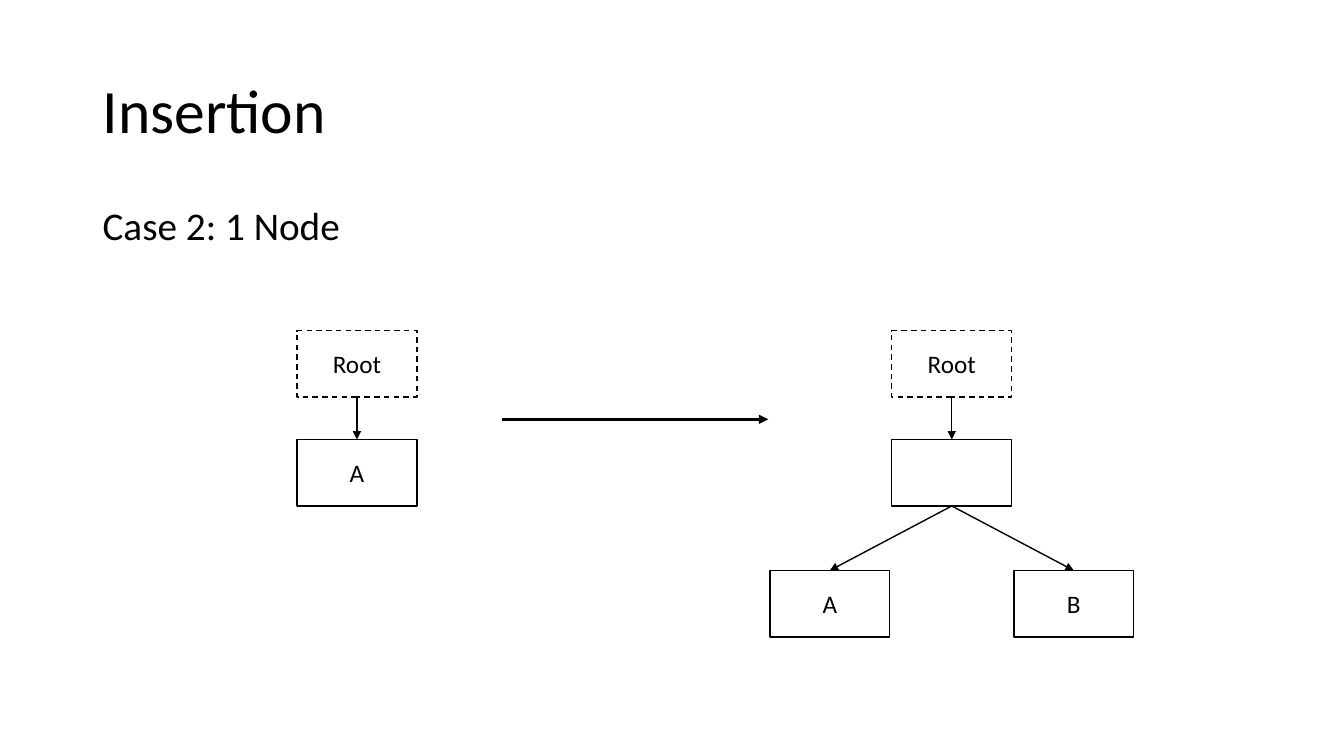
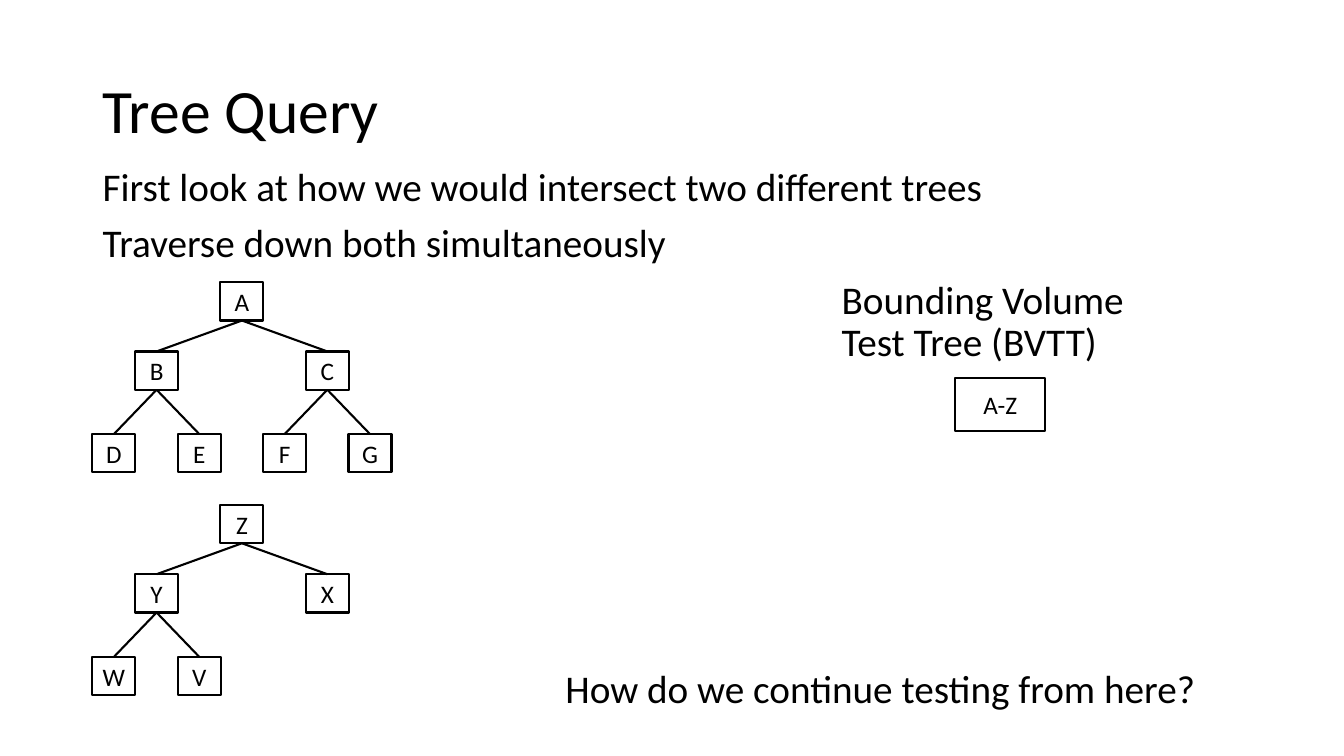
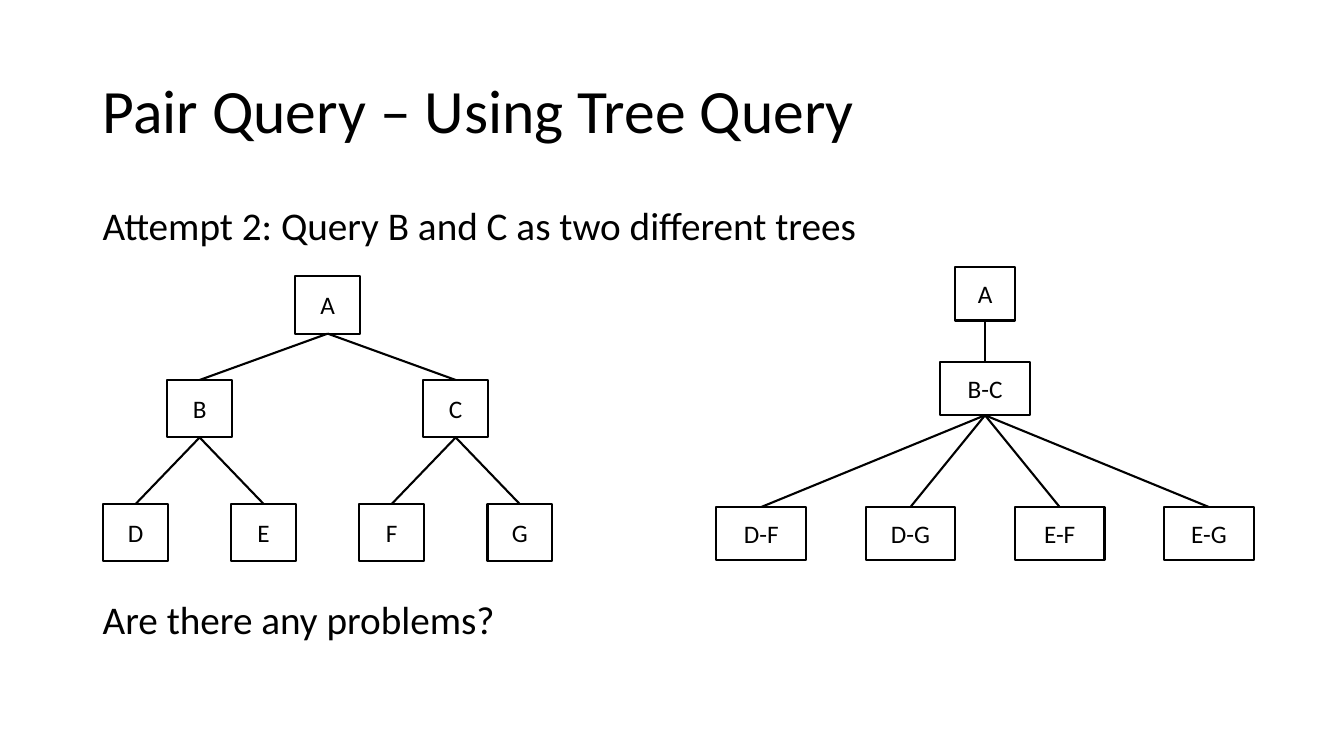
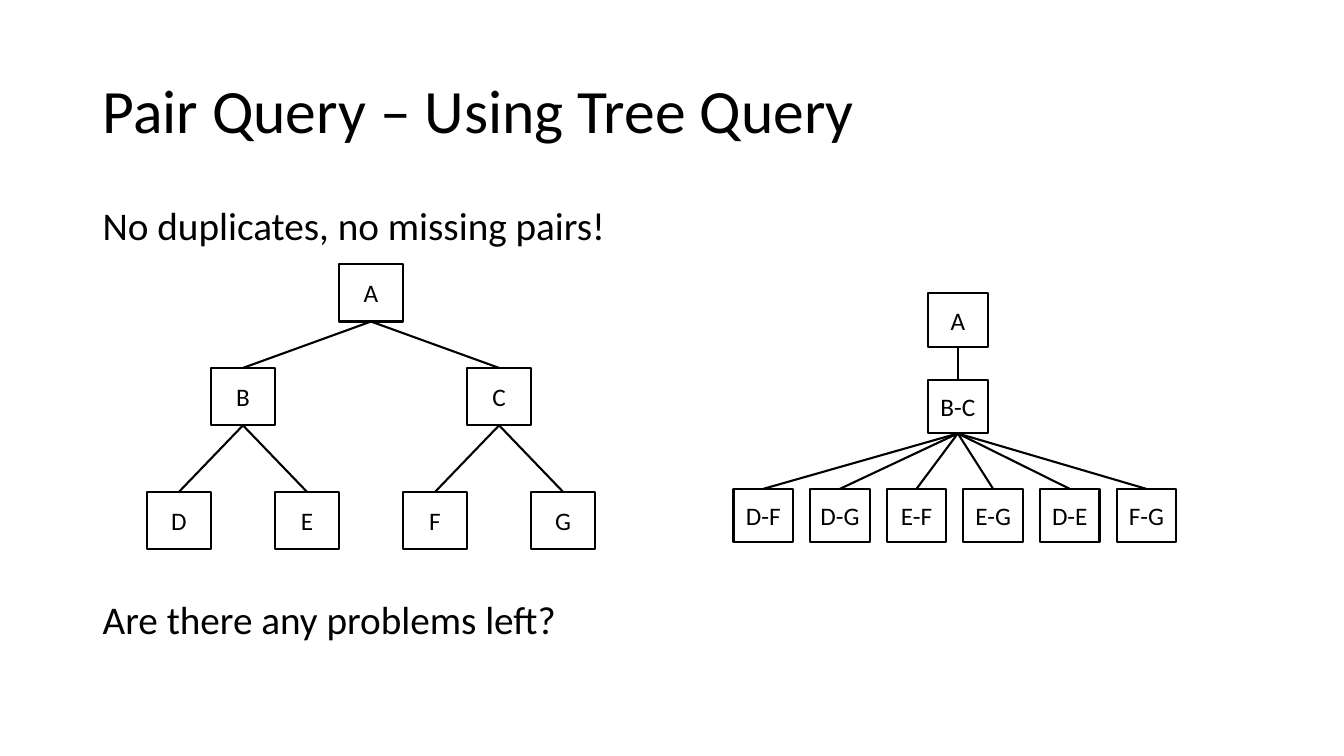
from dataclasses import dataclass

from lxml.etree import SubElement
from pptx import Presentation
from pptx.dml.color import RGBColor
from pptx.enum.dml import MSO_LINE
from pptx.enum.shapes import MSO_CONNECTOR, MSO_SHAPE
from pptx.enum.text import MSO_ANCHOR, PP_ALIGN
from pptx.oxml.ns import qn
from pptx.util import Inches, Pt


@dataclass(frozen=True)
class Theme:
    font = "Calibri"
    ink = RGBColor(0, 0, 0)
    paper = RGBColor(255, 255, 255)
    title = {"size": 44, "anchor": MSO_ANCHOR.MIDDLE,
             "paragraph": {"line_spacing": 0.9}}
    body = {"size": 28, "anchor": MSO_ANCHOR.TOP,
            "paragraph": {"line_spacing": 0.9}}
    node = {"size": 18, "anchor": MSO_ANCHOR.MIDDLE,
            "paragraph": {"alignment": PP_ALIGN.CENTER}}
    paragraph_gap = Pt(10)
    arrow_width = Pt(2.25)
    thin_line = Pt(1)
    tree_line = Pt(1.5)


theme = Theme()


def write_text(shape, lines, style, wrap=True):
    frame = shape.text_frame
    frame.word_wrap = wrap
    frame.vertical_anchor = style["anchor"]
    for index, line in enumerate(lines):
        paragraph = frame.add_paragraph() if index else frame.paragraphs[0]
        paragraph.text = line
        if index:
            paragraph.space_before = theme.paragraph_gap
        for name, value in style["paragraph"].items():
            setattr(paragraph, name, value)
        for name, value in {"name": theme.font, "size": Pt(style["size"])}.items():
            setattr(paragraph.font, name, value)
        paragraph.font.color.rgb = theme.ink


def add_line(slide, start, end, width, arrow):
    """Draw a straight line between two points given in inches."""
    connector = slide.shapes.add_connector(
        MSO_CONNECTOR.STRAIGHT, *[Inches(value) for value in (*start, *end)])
    connector.line.color.rgb = theme.ink
    connector.line.width = width
    properties = connector._element.spPr
    if arrow:
        SubElement(properties.find(qn("a:ln")), qn("a:tailEnd"), type="triangle")
    SubElement(properties, qn("a:effectLst"))
    return connector


# Every tree is a list of nodes: label, center x, top, width, height, parent index.
node_width, node_height = 1.19, 0.66
root_top, first_top, second_top = 3.28, 4.36, 5.66
before_x, after_x, child_offset = 3.54, 9.44, 1.21
before_tree, after_tree = [
    [("Root", center, root_top, node_width, node_height, None),
     (label, center, first_top, node_width, node_height, 0)]
    for label, center in (("A", before_x), ("", after_x))]
after_tree += [
    (label, after_x + side * child_offset, second_top, node_width, node_height, 1)
    for label, side in (("A", -1), ("B", 1))]

# Binary trees list their labels level by level; offsets are in units of the spread.
spread = 1.27
level_tops = [0, 1.03, 2.26]
slots = [(0, 0), (1, -1), (1, 1), (2, -1.5), (2, -0.5), (2, 0.5), (2, 1.5)]
binary_trees = []
for labels, center, top, scale in [
        ("ABCDEFG", 2.4, 2.8, 2 / 3), ("ZYXWV", 2.4, 5.01, 2 / 3),
        ("ABCDEFG", 3.25, 2.74, 1), ("ABCDEFG", 3.68, 2.62, 1)]:
    binary_trees.append([
        (label, center + offset * spread * scale, top + level_tops[level] * scale,
         0.64 * scale, 0.57 * scale, (index - 1) // 2 if index else None)
        for index, (label, (level, offset)) in enumerate(zip(labels, slots))])

pair_height, single_width, pair_width = 0.53, 0.59, 0.89
pair_trees = []
for center, tops, width, first_leaf, pitch, leaves in [
        (9.77, (2.65, 3.59, 5.03), pair_width, 7.55, 1.48,
         ["D-F", "D-G", "E-F", "E-G"]),
        (9.5, (2.91, 3.77, 4.85), single_width, 7.57, 0.76,
         ["D-F", "D-G", "E-F", "E-G", "D-E", "F-G"])]:
    tree = [("A", center, tops[0], single_width, pair_height, None),
            ("B-C", center, tops[1], width, pair_height, 0)]
    tree += [(label, first_leaf + index * pitch, tops[2], width, pair_height, 1)
             for index, label in enumerate(leaves)]
    pair_trees.append(tree)

left, content_width = 0.92, 11.5
body_top, question_top = 2, 5.91
slides = [
    {"title": "Insertion",
     "texts": [(left, body_top, content_width, 0.6, ["Case 2: 1 Node"])],
     "trees": [before_tree, after_tree],
     "insertion": True},
    {"title": "Tree Query",
     "texts": [
         (left, 1.61, content_width, 1.15,
          ["First look at how we would intersect two different trees",
           "Traverse down both simultaneously"]),
         (8.25, 2.73, 3.33, 1.02, ["Bounding Volume Test Tree (BVTT)"]),
         (5.51, 6.59, 6.57, 0.63, ["How do we continue testing from here?"])],
     "trees": [*binary_trees[:2],
               [("A-Z", 9.92, 3.75, pair_width, pair_height, None)]]},
    {"title": "Pair Query – Using Tree Query",
     "texts": [
         (left, body_top, content_width, 0.6,
          ["Attempt 2: Query B and C as two different trees"]),
         (left, question_top, content_width, 0.6, ["Are there any problems?"])],
     "trees": [binary_trees[2], pair_trees[0]]},
    {"title": "Pair Query – Using Tree Query",
     "texts": [
         (left, body_top, content_width, 0.6, ["No duplicates, no missing pairs!"]),
         (left, question_top, content_width, 0.6, ["Are there any problems left?"])],
     "trees": [binary_trees[3], pair_trees[1]]},
]

presentation = Presentation()
presentation.slide_width = Inches(13.33)
presentation.slide_height = Inches(7.5)
blank_layout = presentation.slide_layouts[6]

for content in slides:
    slide = presentation.slides.add_slide(blank_layout)
    texts = [(left, 0.4, content_width, 1.45, [content["title"]], theme.title)]
    texts += [(*text, theme.body) for text in content["texts"]]
    for *box, lines, style in texts:
        text_box = slide.shapes.add_textbox(*[Inches(value) for value in box])
        write_text(text_box, lines, style)

    insertion = content.get("insertion", False)
    line_width = theme.thin_line if insertion else theme.tree_line
    if insertion:
        add_line(slide, (4.98, 4.16), (7.62, 4.16), theme.arrow_width, True)

    for tree in content["trees"]:
        nodes = []
        for label, center, top, width, height, parent in tree:
            node = slide.shapes.add_shape(
                MSO_SHAPE.RECTANGLE, Inches(center - width / 2), Inches(top),
                Inches(width), Inches(height))
            node.shadow.inherit = False
            node.line.color.rgb = theme.ink
            node.line.width = line_width
            if insertion and parent is not None:
                node.fill.solid()
                node.fill.fore_color.rgb = theme.paper
            else:
                node.fill.background()
            if label == "Root":
                node.line.dash_style = MSO_LINE.DASH
            if label:
                write_text(node, [label], theme.node, wrap=False)
            nodes.append(node)
            if parent is not None:
                _, parent_x, parent_top, _, parent_height, _ = tree[parent]
                edge = add_line(slide, (parent_x, parent_top + parent_height),
                                (center, top), line_width, insertion)
                edge.begin_connect(nodes[parent], 2)
                edge.end_connect(node, 0)

presentation.save("out.pptx")
